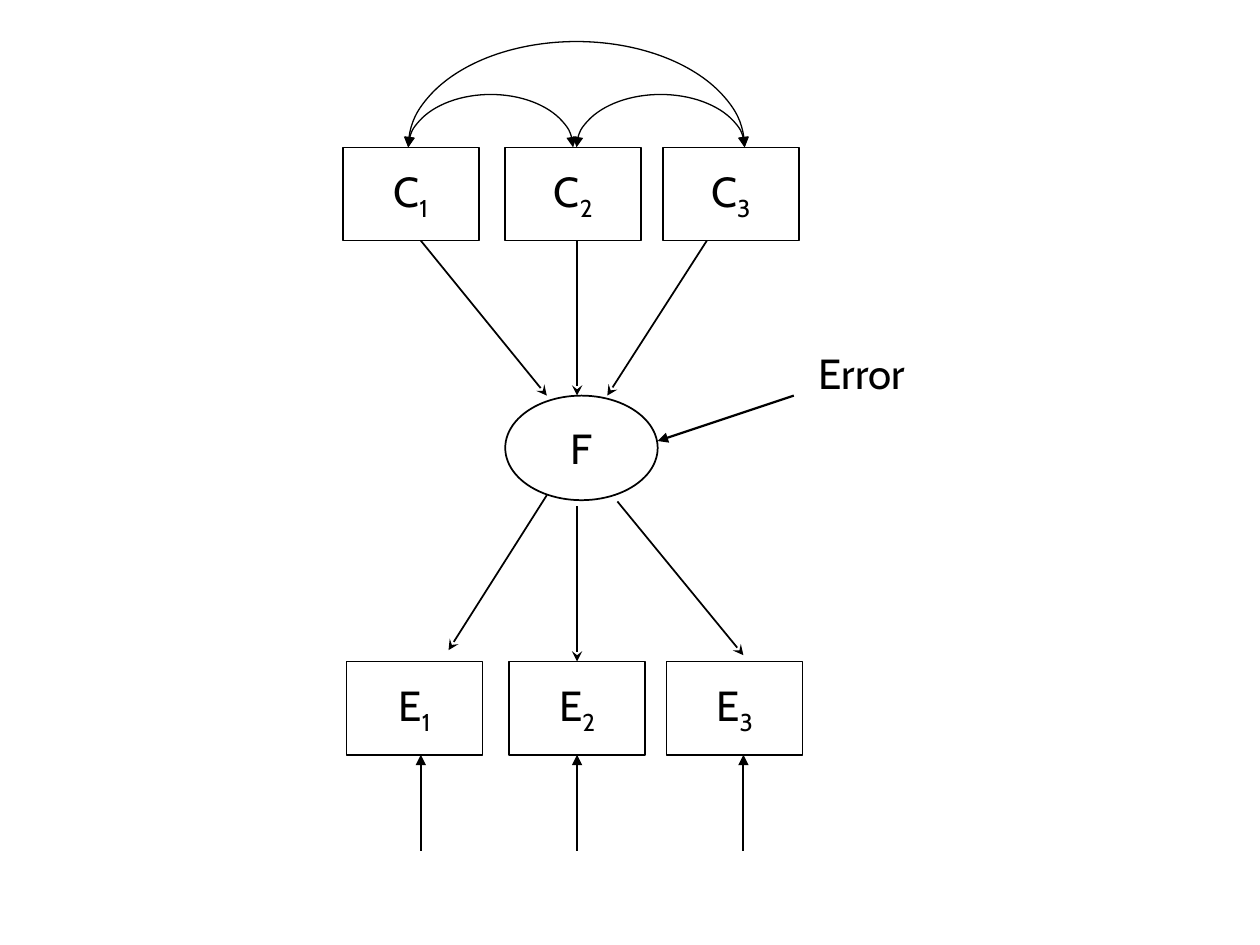
from dataclasses import dataclass

from lxml.etree import SubElement
from pptx import Presentation
from pptx.dml.color import RGBColor
from pptx.enum.shapes import MSO_CONNECTOR, MSO_SHAPE
from pptx.enum.text import MSO_ANCHOR, PP_ALIGN
from pptx.oxml.ns import qn
from pptx.util import Inches, Pt

COLS, ROWS = 100, 75
TOP, BOTTOM = 0, 2


@dataclass(frozen=True)
class Theme:
    """Colours, type and line weights of the diagram."""
    ink: RGBColor = RGBColor(0, 0, 0)
    font: str = "Cabin"
    size: float = 24
    arc: float = 0.75
    line: float = 1
    bold: float = 1.25


T = Theme()


def grid(*cells):
    """Turn grid columns and rows into lengths."""
    return [Inches(c * 10 / COLS) for c in cells]


def set_line(shape, width, head=None, tail=None):
    """Draw the outline in ink, with optional arrowheads."""
    shape.line.color.rgb = T.ink
    shape.line.width = Pt(width)
    ln = shape.line._get_or_add_ln()
    for tag, kind in (("a:headEnd", head), ("a:tailEnd", tail)):
        if kind:
            SubElement(ln, qn(tag), type=kind)


def write(sp, text, sub="", size=T.size, color=T.ink):
    """Centre a label with an optional subscript in a shape."""
    tf = sp.text_frame
    tf.word_wrap = False
    tf.vertical_anchor = MSO_ANCHOR.MIDDLE
    p = tf.paragraphs[0]
    p.alignment = PP_ALIGN.CENTER
    for part, baseline in ((text, None), (sub, "-25000")):
        if part:
            r = p.add_run()
            r.text = part
            r.font.name = T.font
            r.font.size = Pt(size)
            r.font.color.rgb = color
            if baseline:
                r.font._element.set("baseline", baseline)


def outline(s, kind, box, width, **ends):
    """Add an unfilled preset shape."""
    sp = s.shapes.add_shape(kind, *grid(*box))
    sp.shadow.inherit = False
    sp.fill.background()
    set_line(sp, width, **ends)
    return sp


def arrow(s, x1, y1, x2, y2, width=T.line, tail="stealth"):
    """Add a straight arrow pointing at its second end."""
    cx = s.shapes.add_connector(MSO_CONNECTOR.STRAIGHT, *grid(x1, y1, x2, y2))
    set_line(cx, width, tail=tail)
    SubElement(cx._element.spPr, qn("a:effectLst"))
    return cx


def indicators(s, box, letter):
    """Place three numbered variables in a row."""
    x, y, w, h = box
    boxes = []
    for n, dx in enumerate((0, 12.9, 25.4), 1):
        sp = outline(s, MSO_SHAPE.RECTANGLE, (x + dx, y, w - 25.4, h), T.line)
        write(sp, letter, sub=str(n))
        boxes.append(sp)
    return boxes


def covariances(s, box):
    """Span each pair of causes with a two-headed half ellipse."""
    x, y, w, h = box
    for start, end, rise in ((0, 0.49, 0.5), (0.5, 1, 0.5), (0, 1, 1)):
        arc_box = (x + start * w, y + h * (1 - rise), (end - start) * w, 2 * h * rise)
        sp = outline(s, MSO_SHAPE.ARC, arc_box, T.arc, head="triangle", tail="triangle")
        sp.adjustments[0], sp.adjustments[1] = 108, 0


def factor(s, box):
    """Place the latent factor with its error term."""
    x, y, w, h = box
    write(outline(s, MSO_SHAPE.OVAL, box, T.line), "F")
    arrow(s, x + w + 10.8, y, x + w, y + 3.6, width=T.bold, tail="triangle")
    tb = s.shapes.add_textbox(*grid(x + w + 10.8, y - 5.5, 10.8, 7.4))
    write(tb, "Error")


def fan(s, origin, paths, **style):
    """Draw arrows given as offsets from an origin."""
    x, y = origin
    return [arrow(s, x + a, y + b, x + c, y + d, **style) for a, b, c, d in paths]


def build():
    """Build the causal model slide."""
    prs = Presentation()
    prs.slide_width, prs.slide_height = grid(COLS, ROWS)
    s = prs.slides.add_slide(prs.slide_layouts[6])

    indicators(s, (27.2, 11.7, 36.2, 7.4), "C")
    covariances(s, (32.4, 3.3, 26.7, 8.4))
    fan(s, (33.4, 19.1),
        ((0, 0, 10, 12.3), (12.4, 0, 12.4, 12.3), (22.7, 0, 14.8, 12.3)))
    factor(s, (40.1, 31.4, 12.1, 8.3))

    effects = indicators(s, (27.5, 52.5, 36.2, 7.4), "E")
    loadings = fan(s, (33.4, 39.3),
                   ((10, 0, 2.2, 12.3), (12.4, 0.9, 12.4, 13.2), (15.6, 0.5, 25.6, 12.7)))
    residuals = fan(s, (33.4, 59.9), [(dx, 7.6, dx, 0) for dx in (0, 12.4, 25.6)],
                    width=T.bold, tail="triangle")
    loadings[1].end_connect(effects[1], TOP)
    residuals[1].end_connect(effects[1], BOTTOM)
    prs.save("out.pptx")


if __name__ == "__main__":
    build()
